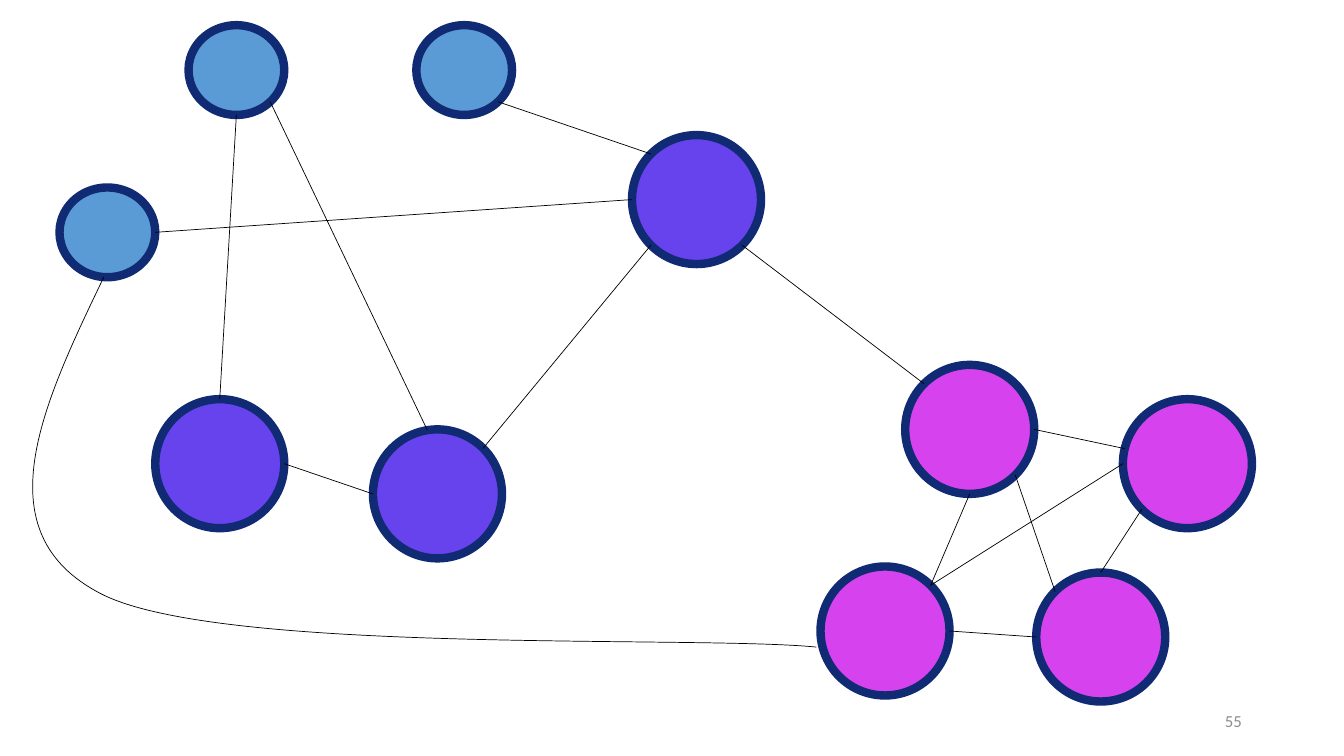
from dataclasses import dataclass
from math import cos, radians, sin

from lxml import etree
from pptx import Presentation
from pptx import util as u
from pptx.dml.color import RGBColor
from pptx.enum import shapes, text
from pptx.oxml import ns

COLUMNS, ROWS = 160, 90
SLIDE_WIDTH, SLIDE_HEIGHT = u.Inches(13.333), u.Inches(7.5)
COLORS = {
    "magenta": "D542EE",
    "blue": "5B9BD5",
    "violet": "6743ED",
    "outline": "102A73",
    "edge": "000000",
    "number": "8C8C8C",
}
RIGHT, LOWER_RIGHT, BOTTOM, LOWER_LEFT = 0, 45, 90, 135
LEFT, UPPER_LEFT, TOP, UPPER_RIGHT = 180, 225, 270, 315


@dataclass(frozen=True)
class Node:
    column: float
    row: float
    color: str
    width: float = 15.36
    height: float = 15.36

    def rim(self, angle: float) -> tuple[float, float]:
        turn = radians(angle)
        return (self.column + self.width / 2 * cos(turn),
                self.row + self.height / 2 * sin(turn))


@dataclass(frozen=True)
class Edge:
    start: str
    start_angle: float
    end: str
    end_angle: float


SMALL = {"color": "blue", "width": 11.4, "height": 10.68}
NODES = {
    "cluster_west": Node(105.36, 75.12, "magenta"),
    "cluster_north": Node(115.44, 51.12, "magenta"),
    "cluster_east": Node(141.36, 55.2, "magenta"),
    "cluster_south": Node(131.04, 75.84, "magenta"),
    "leaf_west": Node(12.78, 27.66, **SMALL),
    "leaf_east": Node(55.26, 8.34, **SMALL),
    "middle_west": Node(26.16, 55.2, "violet"),
    "middle_east": Node(52.08, 58.8, "violet"),
    "hub": Node(82.92, 23.76, "violet"),
    "leaf_north": Node(28.14, 8.34, **SMALL),
}
EDGES = [
    Edge("leaf_north", BOTTOM, "middle_west", TOP),
    Edge("leaf_north", LOWER_RIGHT, "middle_east", 261),
    Edge("middle_east", LEFT, "middle_west", RIGHT),
    Edge("hub", LOWER_RIGHT, "cluster_north", UPPER_LEFT),
    Edge("middle_east", UPPER_RIGHT, "hub", LOWER_LEFT),
    Edge("leaf_west", RIGHT, "hub", LEFT),
    Edge("leaf_east", LOWER_RIGHT, "hub", UPPER_LEFT),
    Edge("cluster_north", BOTTOM, "cluster_west", UPPER_RIGHT),
    Edge("cluster_north", RIGHT, "cluster_east", 193.5),
    Edge("cluster_south", TOP, "cluster_east", LOWER_LEFT),
    Edge("cluster_south", LEFT, "cluster_west", RIGHT),
    Edge("cluster_west", UPPER_RIGHT, "cluster_east", LEFT),
    Edge("cluster_north", LOWER_RIGHT, "cluster_south", UPPER_LEFT),
]
CURVE_START = (12.36, 33)
CURVE_SEGMENTS = [
    [(5.04, 48.24), (-2.16, 63.36), (12, 70.68)],
    [(26.16, 78), (82.92, 75.6), (97.2, 77.04)],
]
CURVE_LEFT = 3.96


def x(column: float) -> int:
    return round(SLIDE_WIDTH * column / COLUMNS)


def y(row: float) -> int:
    return round(SLIDE_HEIGHT * row / ROWS)


def apply_format(target, values: dict) -> None:
    for name, value in values.items():
        setattr(target, name, value)


def rgb(name: str) -> RGBColor:
    return RGBColor.from_string(COLORS[name])


def set_line(shape, color: str, points: float) -> None:
    shape.line.color.rgb = rgb(color)
    shape.line.width = u.Pt(points)


def draw_node(page, node: Node) -> None:
    circle = page.shapes.add_shape(
        shapes.MSO_SHAPE.OVAL,
        x(node.column - node.width / 2), y(node.row - node.height / 2),
        x(node.width), y(node.height))
    circle.shadow.inherit = False
    circle.fill.solid()
    circle.fill.fore_color.rgb = rgb(node.color)
    set_line(circle, "outline", 6)


def draw_edge(page, edge: Edge) -> None:
    start = NODES[edge.start].rim(edge.start_angle)
    end = NODES[edge.end].rim(edge.end_angle)
    line = page.shapes.add_connector(
        shapes.MSO_CONNECTOR.STRAIGHT,
        x(start[0]), y(start[1]), x(end[0]), y(end[1]))
    set_line(line, "edge", 0.5)
    etree.SubElement(line.element.spPr, ns.qn("a:effectLst"))


def draw_curve(page) -> None:
    left, top = x(CURVE_LEFT), y(CURVE_START[1])
    end = CURVE_SEGMENTS[-1][-1]
    builder = page.shapes.build_freeform(x(CURVE_START[0]), top)
    builder.add_line_segments(
        [(left, y(CURVE_SEGMENTS[0][-1][1])), (x(end[0]), y(end[1]))], close=False)
    curve = builder.convert_to_shape()
    outline = next(curve.element.iter(ns.qn("a:path")))
    for straight in outline.findall(ns.qn("a:lnTo")):
        outline.remove(straight)
    for segment in CURVE_SEGMENTS:
        bend = etree.SubElement(outline, ns.qn("a:cubicBezTo"))
        for column, row in segment:
            etree.SubElement(bend, ns.qn("a:pt"),
                             x=str(x(column) - left), y=str(y(row) - top))
    curve.shadow.inherit = False
    curve.fill.background()
    set_line(curve, "edge", 0.5)


def draw_page_number(page, number: str) -> None:
    box = page.shapes.add_textbox(x(113.04), y(83.4), x(36), y(4.8))
    apply_format(box.text_frame, {
        "word_wrap": True, "vertical_anchor": text.MSO_ANCHOR.MIDDLE})
    para = box.text_frame.paragraphs[0]
    para.alignment = text.PP_ALIGN.RIGHT
    span = para.add_run()
    span.text = number
    apply_format(span.font, {"name": "Calibri", "size": u.Pt(12)})
    span.font.color.rgb = rgb("number")


def main() -> None:
    deck = Presentation()
    apply_format(deck, {"slide_width": SLIDE_WIDTH, "slide_height": SLIDE_HEIGHT})
    page = deck.slides.add_slide(deck.slide_layouts[6])
    draw_page_number(page, "55")
    for node in NODES.values():
        draw_node(page, node)
    draw_curve(page)
    for edge in EDGES:
        draw_edge(page, edge)
    deck.save("out.pptx")


if __name__ == "__main__":
    main()
